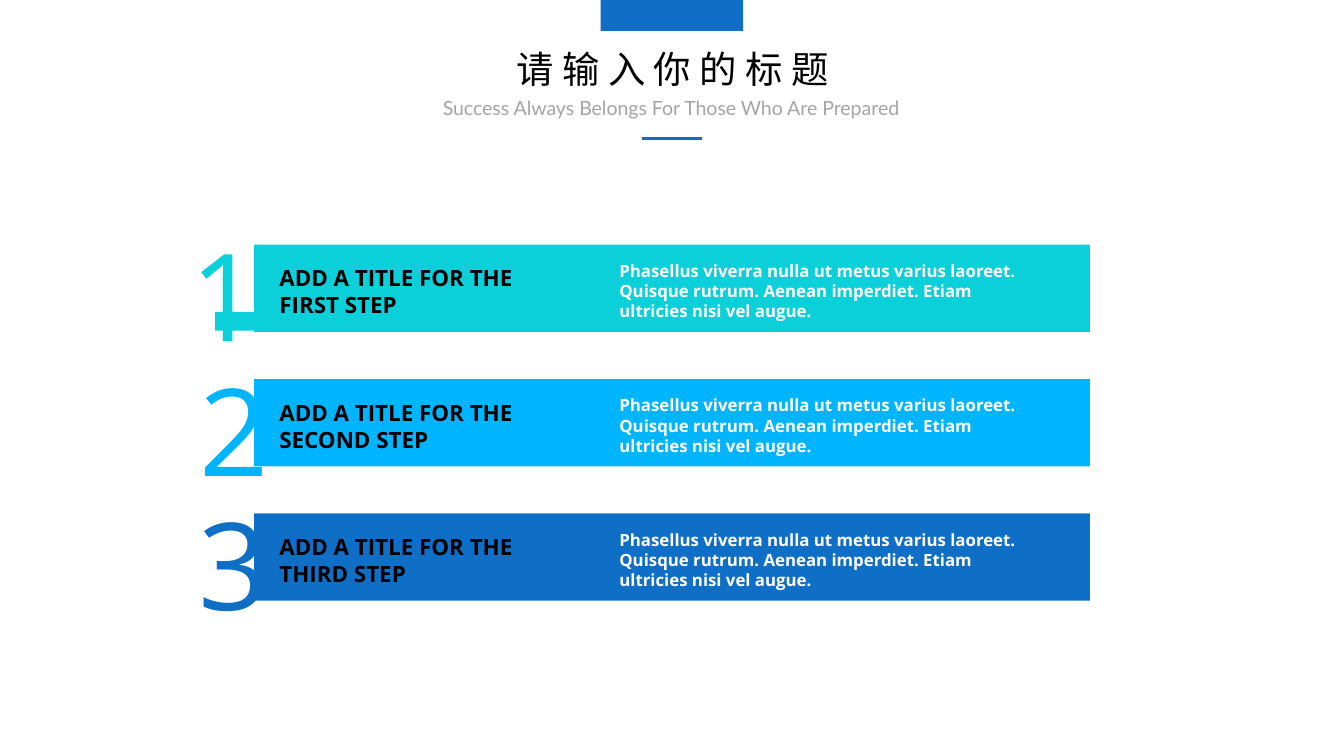
from dataclasses import dataclass

from pptx import Presentation
from pptx.dml.color import RGBColor
from pptx.enum.shapes import MSO_CONNECTOR, MSO_SHAPE
from pptx.enum.text import MSO_AUTO_SIZE, PP_ALIGN
from pptx.oxml.ns import qn
from pptx.util import Inches, Pt
from lxml import etree


@dataclass(frozen=True)
class Theme:
    blue: str = "0F6FC6"
    sky: str = "00B5FE"
    teal: str = "0BD0D9"
    black: str = "000000"
    white: str = "FFFFFF"
    grey: str = "A5A5A5"
    title_font: str = "Arial"
    subtitle_font: str = "Lato"
    body_font: str = "Open Sans"
    title_size: float = 20
    subtitle_size: float = 10.5
    number_size: float = 65
    step_size: float = 12
    body_size: float = 9


class SlideBuilder:
    def __init__(self, slide, theme):
        self.s = slide
        self.theme = theme

    def rect(self, x, y, w, h, color):
        sp = self.s.shapes.add_shape(
            MSO_SHAPE.RECTANGLE, Inches(x), Inches(y), Inches(w), Inches(h))
        sp.shadow.inherit = False
        sp.fill.solid()
        sp.fill.fore_color.rgb = RGBColor.from_string(color)
        sp.line.fill.background()

    def line(self, x1, y1, x2, y2, color, width):
        cx = self.s.shapes.add_connector(
            MSO_CONNECTOR.STRAIGHT, Inches(x1), Inches(y1), Inches(x2), Inches(y2))
        cx.line.color.rgb = RGBColor.from_string(color)
        cx.line.width = Pt(width)
        etree.SubElement(cx._element.spPr, qn("a:effectLst"))

    def text(self, x, y, w, h, text, font, size, color, bold=False,
             align=PP_ALIGN.LEFT, line_spacing=None, wrap=True, tracking=None):
        """Add a one-paragraph text box; tracking is letter spacing in points."""
        box = self.s.shapes.add_textbox(Inches(x), Inches(y), Inches(w), Inches(h))
        tf = box.text_frame
        tf.word_wrap = wrap
        tf.auto_size = MSO_AUTO_SIZE.SHAPE_TO_FIT_TEXT
        p = tf.paragraphs[0]
        p.alignment = align
        if line_spacing:
            p.line_spacing = line_spacing
        r = p.add_run()
        r.text = text
        if tracking:
            r._r.get_or_add_rPr().set("spc", str(int(tracking * 100)))
        p.font.name = font
        p.font.size = Pt(size)
        p.font.bold = bold
        p.font.color.rgb = RGBColor.from_string(color)

    def header(self, title, subtitle):
        t = self.theme
        self.line(4.78, 1.03, 5.22, 1.03, t.blue, 2)
        self.text(3.7, 0.36, 2.61, 0.38, title, t.title_font, t.title_size, t.black,
                  align=PP_ALIGN.CENTER, line_spacing=0.8, wrap=False, tracking=4.5)
        self.text(2.88, 0.7, 4.23, 0.24, subtitle, t.subtitle_font, t.subtitle_size,
                  t.grey, align=PP_ALIGN.CENTER, line_spacing=0.8)
        self.rect(4.47, 0, 1.06, 0.23, t.blue)

    def step(self, y, number, number_x, title, body, color):
        t = self.theme
        self.rect(1.89, y, 6.22, 0.65, color)
        self.text(4.51, y + 0.07, 3.25, 0.56, body, t.body_font, t.body_size,
                  t.white, bold=True)
        self.text(number_x, y - 0.23, 0.86, 1.19, number, t.body_font, t.number_size,
                  color, align=PP_ALIGN.RIGHT)
        self.text(1.98, y + 0.1, 2.15, 0.5, title, t.body_font, t.step_size,
                  t.black, bold=True)


def main():
    prs = Presentation()
    prs.slide_width = Inches(10)
    prs.slide_height = Inches(10 * 9 / 16)
    theme = Theme()
    builder = SlideBuilder(prs.slides.add_slide(prs.slide_layouts[6]), theme)

    first_top, pitch = 1.82, 1
    body = ("Phasellus viverra nulla ut metus varius laoreet. Quisque rutrum. "
            "Aenean imperdiet. Etiam ultricies nisi vel augue.")
    steps = [
        ("FIRST", 1.17, theme.teal),
        ("SECOND", 1.24, theme.sky),
        ("THIRD", 1.23, theme.blue),
    ]
    for i, (ordinal, number_x, color) in enumerate(steps):
        builder.step(first_top + i * pitch, str(i + 1), number_x,
                     f"ADD A TITLE FOR THE {ordinal} STEP", body, color)
    # Foot of the numeral 1, joining it to its bar
    builder.rect(1.6, 2.32, 0.38, 0.14, theme.teal)

    builder.header("请输入你的标题", "Success Always Belongs For Those Who Are Prepared")
    prs.save("out.pptx")


if __name__ == "__main__":
    main()
